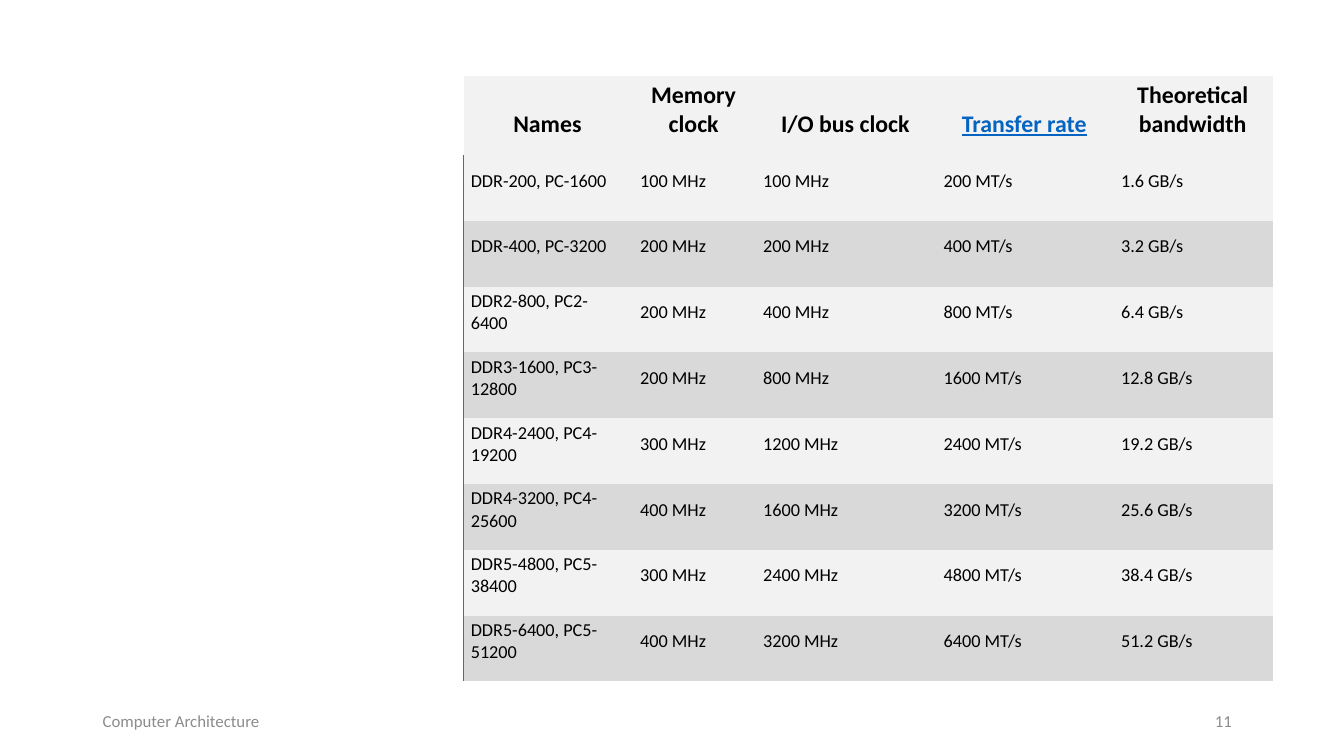
import pptx
import pptx.dml.color
import pptx.enum.text
import pptx.oxml
import pptx.oxml.ns
import pptx.util

RGBColor = pptx.dml.color.RGBColor
Inches = pptx.util.Inches
Anchor = pptx.enum.text.MSO_ANCHOR
BLACK = RGBColor(0x00, 0x00, 0x00)
LINK_BLUE = RGBColor(0x05, 0x63, 0xC1)
FOOTER_GRAY = RGBColor(0x8C, 0x8C, 0x8C)
EDGE_GRAY = RGBColor(0x66, 0x66, 0x66)
BANDS = (RGBColor(0xD9, 0xD9, 0xD9), RGBColor(0xF2, 0xF2, 0xF2))
HEADER_FILL = BANDS[1]

FONT = "Calibri"
PLAIN_STYLE = "{2D5ABB26-0587-4C30-8999-92F81FD0307C}"
PAGE_WIDTH, PAGE_HEIGHT = 13.33, 7.5
TABLE_LEFT, TABLE_TOP, TABLE_HEIGHT = 4.6, 0.75, 6.01
COLUMN_WIDTHS = (1.68, 1.22, 1.79, 1.76, 1.58)
HEADER_HEIGHT = 0.79
FOOTER_TOP, FOOTER_HEIGHT = 6.95, 0.4

HEADINGS = ("Names", "Memory clock", "I/O bus clock", "Transfer rate", "Theoretical bandwidth")
MEMORY_TYPES = (
    ("DDR-200, PC-1600", "100 MHz", "100 MHz", "200 MT/s", "1.6 GB/s"),
    ("DDR-400, PC-3200", "200 MHz", "200 MHz", "400 MT/s", "3.2 GB/s"),
    ("DDR2-800, PC2-6400", "200 MHz", "400 MHz", "800 MT/s", "6.4 GB/s"),
    ("DDR3-1600, PC3-12800", "200 MHz", "800 MHz", "1600 MT/s", "12.8 GB/s"),
    ("DDR4-2400, PC4-19200", "300 MHz", "1200 MHz", "2400 MT/s", "19.2 GB/s"),
    ("DDR4-3200, PC4-25600", "400 MHz", "1600 MHz", "3200 MT/s", "25.6 GB/s"),
    ("DDR5-4800, PC5-38400", "300 MHz", "2400 MHz", "4800 MT/s", "38.4 GB/s"),
    ("DDR5-6400, PC5-51200", "400 MHz", "3200 MHz", "6400 MT/s", "51.2 GB/s"),
)


def set_font(para, size, color, bold=False):
    """Format a whole paragraph."""
    para.font.name = FONT
    para.font.size = pptx.util.Pt(size)
    para.font.bold = bold
    para.font.color.rgb = color


def add_footer(page, text, left, width):
    """Place a gray text on the footer row."""
    box = page.shapes.add_textbox(
        Inches(left), Inches(FOOTER_TOP), Inches(width), Inches(FOOTER_HEIGHT))
    frame = box.text_frame
    frame.word_wrap = True
    frame.vertical_anchor = Anchor.MIDDLE
    para = frame.paragraphs[0]
    para.text = text
    para.space_after = pptx.util.Pt(6)
    set_font(para, 12, FOOTER_GRAY)


def fill_cell(cell, text, fill, anchor):
    """Write a cell's text and return its paragraph."""
    cell.margin_left, cell.margin_top = Inches(0.07), Inches(0.02)
    cell.margin_right, cell.margin_bottom = Inches(0.09), Inches(0.16)
    cell.vertical_anchor = anchor
    cell.fill.solid()
    cell.fill.fore_color.rgb = fill
    para = cell.text_frame.paragraphs[0]
    para.text = text
    return para


def add_left_edge(cell):
    """Draw a line along a cell's left side."""
    namespace = pptx.oxml.ns.nsdecls("a")
    edge = pptx.oxml.parse_xml(
        f'<a:lnL {namespace} w="12700"><a:solidFill>'
        f'<a:srgbClr val="{EDGE_GRAY}"/></a:solidFill></a:lnL>')
    cell._tc.get_or_add_tcPr().insert(0, edge)


def add_memory_table(page):
    """Build the banded table of memory types."""
    frame = page.shapes.add_table(
        len(MEMORY_TYPES) + 1, len(HEADINGS), Inches(TABLE_LEFT), Inches(TABLE_TOP),
        Inches(sum(COLUMN_WIDTHS)), Inches(TABLE_HEIGHT))
    table = frame.table
    table.horz_banding = False
    table._tbl.tblPr.find(pptx.oxml.ns.qn("a:tableStyleId")).text = PLAIN_STYLE
    for column, width in zip(table.columns, COLUMN_WIDTHS):
        column.width = Inches(width)
    row_height = (TABLE_HEIGHT - HEADER_HEIGHT) / len(MEMORY_TYPES)
    for index, row in enumerate(table.rows):
        row.height = Inches(row_height if index else HEADER_HEIGHT)

    for column, heading in enumerate(HEADINGS):
        para = fill_cell(table.cell(0, column), heading, HEADER_FILL, Anchor.BOTTOM)
        para.alignment = pptx.enum.text.PP_ALIGN.CENTER
        is_link = heading == "Transfer rate"
        set_font(para, 17, LINK_BLUE if is_link else BLACK, bold=True)
        para.font.underline = is_link

    for row, values in enumerate(MEMORY_TYPES, start=1):
        for column, value in enumerate(values):
            para = fill_cell(table.cell(row, column), value, BANDS[row % 2], Anchor.MIDDLE)
            set_font(para, 13, BLACK)
        add_left_edge(table.cell(row, 0))


def main():
    """Build and save the slide."""
    deck = pptx.Presentation()
    deck.slide_width, deck.slide_height = Inches(PAGE_WIDTH), Inches(PAGE_HEIGHT)
    page = deck.slides.add_slide(deck.slide_layouts[6])
    add_footer(page, "Computer Architecture", 0.92, 6.52)
    add_footer(page, "11", 11.95, 0.68)
    add_memory_table(page)
    deck.save("out.pptx")


if __name__ == "__main__":
    main()
